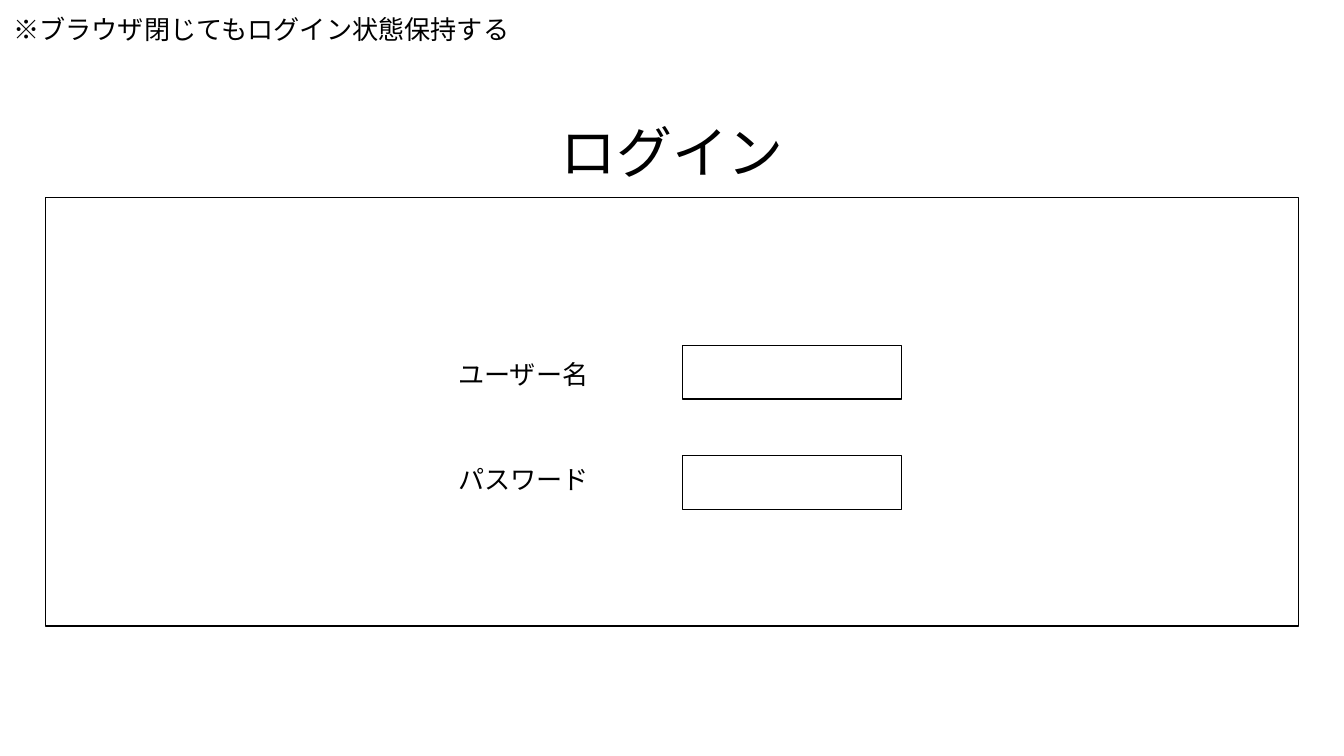
from pptx import Presentation
from pptx import util as u
from pptx.dml import color
from pptx.enum import shapes, text

COLORS = {"ink": "000000", "paper": "FFFFFF"}
FONT = "Arial"
WIDTH = u.Inches(10)
HEIGHT = u.Emu(WIDTH * 9 // 16)  # 16:9
COLUMN, ROW = WIDTH / 100, HEIGHT / 100  # grid of 100 by 100


def place(box):
    """Turn a box in columns and rows into slide lengths."""
    left, top, width, height = box
    return [round(length) for length in
            (left * COLUMN, top * ROW, width * COLUMN, height * ROW)]


def add_text(slide, box, content, size=14, align=text.PP_ALIGN.LEFT,
             anchor=text.MSO_ANCHOR.TOP, color_name="ink"):
    shape = slide.shapes.add_textbox(*place(box))
    frame = shape.text_frame
    frame.word_wrap = True
    frame.vertical_anchor = anchor
    frame.margin_left = frame.margin_right = u.Inches(0.1)
    frame.margin_top = frame.margin_bottom = u.Inches(0.1)
    paragraph = frame.paragraphs[0]
    paragraph.alignment = align
    run = paragraph.add_run()
    run.text = content
    run.font.name = FONT
    run.font.size = u.Pt(size)
    run.font.color.rgb = color.RGBColor.from_string(COLORS[color_name])
    return shape


def add_frame(slide, box):
    shape = slide.shapes.add_shape(shapes.MSO_SHAPE.RECTANGLE, *place(box))
    shape.shadow.inherit = False
    shape.fill.background()
    shape.line.color.rgb = color.RGBColor.from_string(COLORS["ink"])
    shape.line.width = u.Pt(0.75)
    return shape


def add_title(slide, box):
    add_text(slide, box, "ログイン", size=30, align=text.PP_ALIGN.CENTER,
             anchor=text.MSO_ANCHOR.BOTTOM)


def add_login_panel(slide, box):
    left, top, _, _ = box
    add_frame(slide, box)

    # Each row: label, label top, field top, counted from the panel's top
    rows = [("ユーザー名", 19.56, 19.56), ("パスワード", 33.42, 34.13)]
    for label, label_top, field_top in rows:
        add_text(slide, (left + 29.7, top + label_top, 11.8, 7.11), label)
        add_frame(slide, (left + 47.4, top + field_top, 16.3, 7.11))


def add_note(slide, box):
    add_text(slide, box, "※ブラウザ閉じてもログイン状態保持する")


def main():
    presentation = Presentation()
    presentation.slide_width, presentation.slide_height = WIDTH, HEIGHT
    slide = presentation.slides.add_slide(presentation.slide_layouts[6])
    background = slide.background.fill
    background.solid()
    background.fore_color.rgb = color.RGBColor.from_string(COLORS["paper"])

    add_title(slide, (3.4, 12.65, 93.2, 13.51))
    add_login_panel(slide, (3.4, 26.13, 93.2, 56.71))
    add_note(slide, (0, 0, 42.6, 7.82))
    presentation.save("out.pptx")


if __name__ == "__main__":
    main()
